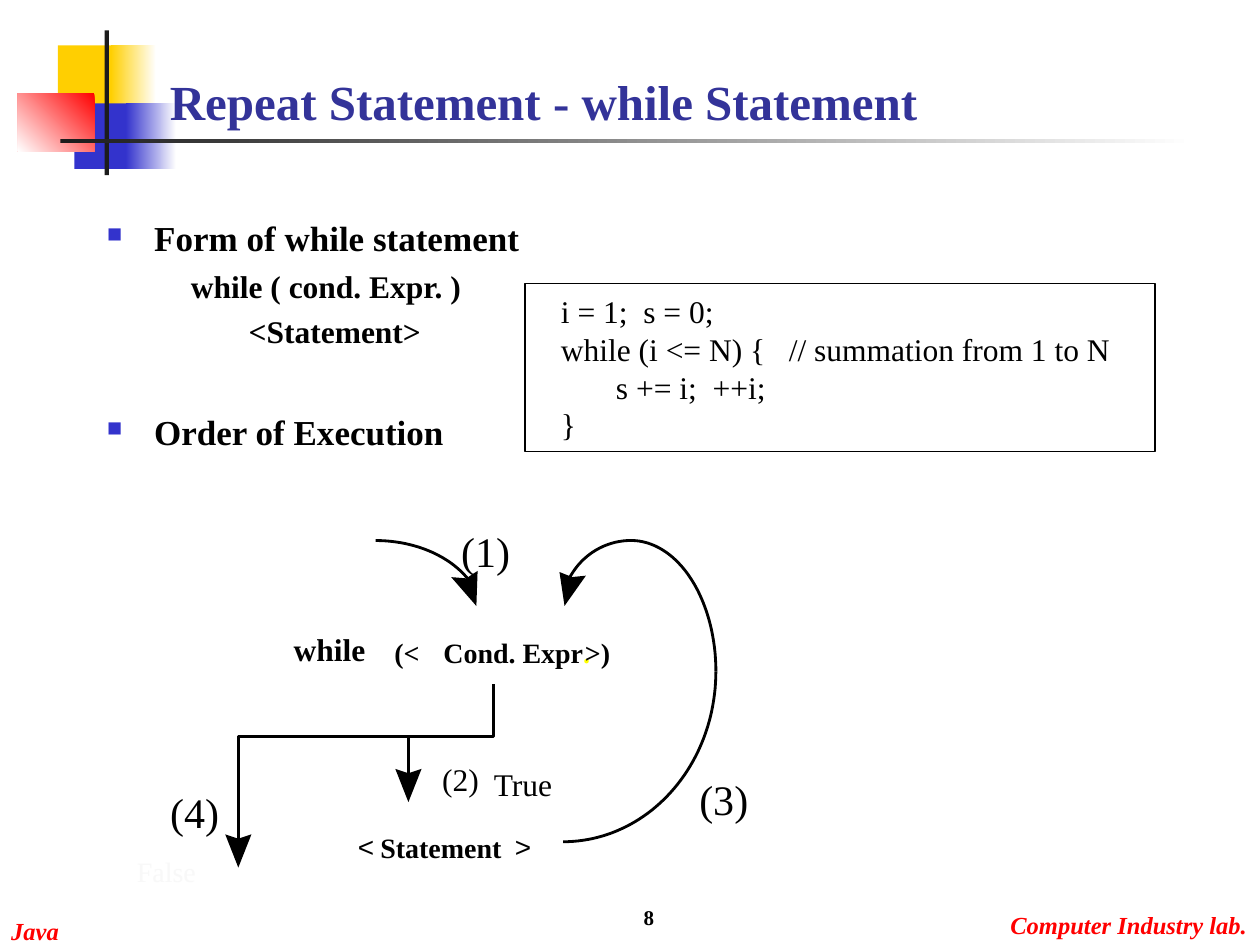
import math
from dataclasses import dataclass

import lxml.etree
import pptx
import pptx.dml.color
import pptx.enum.shapes
import pptx.enum.text
import pptx.oxml.ns
import pptx.util

Pt = pptx.util.Pt
Align = pptx.enum.text.PP_ALIGN
Anchor = pptx.enum.text.MSO_ANCHOR


@dataclass(frozen=True)
class Theme:
    serif: str = "Times New Roman"
    sans: str = "Arial"
    black: str = "000000"
    white: str = "FFFFFF"
    charcoal: str = "1C1C1C"
    gold: str = "FFCF01"
    blue: str = "3333CC"
    red: str = "FF0000"
    yellow: str = "FFFF00"
    faint: str = "F8F8F8"
    title_color: str = "333399"
    title: float = 28
    step: float = 24
    heading: float = 20
    body: float = 18
    label: float = 16
    footer: float = 14
    page: float = 12
    stroke: float = 1.62
    thin: float = 0.75


def rgb(color):
    return pptx.dml.color.RGBColor.from_string(color)


class SlideBuilder:
    def __init__(self, slide, theme):
        self.slide = slide
        self.theme = theme

    def style_runs(self, runs, size, color, bold=False, italic=False, font=None):
        for run in runs:
            run.font.name = font or self.theme.serif
            run.font.size = Pt(size)
            run.font.bold = bold
            run.font.italic = italic
            run.font.color.rgb = rgb(color)

    def prepare_frame(self, shape, inset, anchor, wrap):
        frame = shape.text_frame
        frame.word_wrap = wrap
        frame.vertical_anchor = anchor
        horizontal, vertical = inset
        frame.margin_left = frame.margin_right = Pt(horizontal)
        frame.margin_top = frame.margin_bottom = Pt(vertical)
        return frame

    def text(self, text, box, size, color, inset=(7.2, 3.6), anchor=Anchor.TOP,
             align=Align.LEFT, wrap=False, **style):
        shape = self.slide.shapes.add_textbox(*map(Pt, box))
        frame = self.prepare_frame(shape, inset, anchor, wrap)
        frame.text = text
        paragraph = frame.paragraphs[0]
        paragraph.alignment = align
        self.style_runs(paragraph.runs, size, color, **style)
        return paragraph

    def label(self, text, left, top, width, size, color=None, **style):
        box = (left, top, width, size * 1.2)
        return self.text(text, box, size, color or self.theme.black, inset=(0, 0), **style)

    def rectangle(self, box, color, fade_angle=None):
        kind = pptx.enum.shapes.MSO_SHAPE.RECTANGLE
        shape = self.slide.shapes.add_shape(kind, *map(Pt, box))
        shape.shadow.inherit = False
        shape.line.fill.background()
        if fade_angle is None:
            shape.fill.solid()
            shape.fill.fore_color.rgb = rgb(color)
        else:
            shape.fill.gradient()
            shape.fill.gradient_angle = fade_angle
            for stop, stop_color in zip(shape.fill.gradient_stops, (color, self.theme.white)):
                stop.color.rgb = rgb(stop_color)
        return shape

    def code_box(self, lines, box):
        shape = self.rectangle(box, self.theme.white)
        shape.line.color.rgb = rgb(self.theme.black)
        shape.line.width = Pt(self.theme.thin)
        frame = self.prepare_frame(shape, (7.2, 3.6), Anchor.MIDDLE, True)
        frame.text = "\n".join(lines)
        for paragraph in frame.paragraphs:
            paragraph.alignment = Align.LEFT
            self.style_runs(paragraph.runs, self.theme.body, self.theme.black)

    def outline(self, items, box):
        shape = self.slide.shapes.add_textbox(*map(Pt, box))
        frame = self.prepare_frame(shape, (7.2, 3.6), Anchor.TOP, True)
        frame.text = "\n".join(item[0] for item in items)
        for paragraph, (_, size, margin, bulleted, space) in zip(frame.paragraphs, items):
            properties = paragraph._p.get_or_add_pPr()
            properties.set("marL", str(Pt(margin)))
            if bulleted:
                self.bullet(properties, margin)
            if space:
                paragraph.space_before = Pt(space)
            self.style_runs(paragraph.runs, size, self.theme.black, bold=True)

    def bullet(self, properties, hang):
        properties.set("indent", str(-Pt(hang)))
        name = pptx.oxml.ns.qn
        color = lxml.etree.SubElement(properties, name("a:buClr"))
        lxml.etree.SubElement(color, name("a:srgbClr")).set("val", self.theme.blue)
        lxml.etree.SubElement(properties, name("a:buSzPct")).set("val", "60000")
        lxml.etree.SubElement(properties, name("a:buChar")).set("char", "■")

    def freeform(self, points, filled=False):
        start, *rest = [(Pt(x), Pt(y)) for x, y in points]
        builder = self.slide.shapes.build_freeform(*start)
        builder.add_line_segments(rest, close=filled)
        shape = builder.convert_to_shape()
        shape.shadow.inherit = False
        if filled:
            shape.fill.solid()
            shape.fill.fore_color.rgb = rgb(self.theme.black)
            shape.line.fill.background()
        else:
            shape.fill.background()
            shape.line.color.rgb = rgb(self.theme.black)
            shape.line.width = Pt(self.theme.stroke)

    def arc(self, center, radii, start, end, steps=48):
        angles = [math.radians(start + (end - start) * i / steps) for i in range(steps + 1)]
        self.freeform([(center[0] + radii[0] * math.cos(angle),
                        center[1] + radii[1] * math.sin(angle)) for angle in angles])

    def down_arrowhead(self, x, top):
        self.freeform([(x - 7.5, top), (x, top + 2.5), (x + 7.5, top), (x, top + 19)], filled=True)

    def line(self, start, end):
        kind = pptx.enum.shapes.MSO_CONNECTOR.STRAIGHT
        connector = self.slide.shapes.add_connector(kind, *map(Pt, start + end))
        connector.line.color.rgb = rgb(self.theme.black)
        connector.line.width = Pt(self.theme.stroke)
        properties = connector._element.spPr
        lxml.etree.SubElement(properties, pptx.oxml.ns.qn("a:effectLst"))


def draw_decoration(builder, theme):
    builder.rectangle((33.12, 25.92, 34.56, 37.44), theme.gold)
    builder.rectangle((63.36, 25.92, 25.92, 37.44), theme.gold, 0)
    builder.rectangle((42.48, 59.04, 33.12, 37.44), theme.blue)
    builder.rectangle((72, 59.04, 28.8, 37.44), theme.blue, 0)
    builder.rectangle((10.08, 53.28, 43.92, 33.12), theme.red, 225)
    builder.rectangle((59.8, 17.28, 2.4, 82.8), theme.charcoal)
    builder.rectangle((34.56, 79.6, 648, 2.4), theme.charcoal, 0)
    footer = dict(size=theme.footer, color=theme.red, bold=True, italic=True)
    builder.text("Java", (-0.72, 519.84, 41.76, 24.48), **footer)
    builder.text("Computer Industry lab.", (570.24, 516.24, 149.76, 24.48), **footer)
    builder.text("8", (231.12, 498.96, 149.76, 36), theme.page, theme.black,
                 anchor=Anchor.BOTTOM, align=Align.RIGHT, wrap=True, bold=True)


def draw_flow(builder, theme):
    builder.freeform([(282, 391), (282, 421), (136.2, 421), (136.2, 481)])
    builder.down_arrowhead(136.2, 476.8)
    builder.line((233.4, 420.6), (233.4, 444.2))
    builder.down_arrowhead(233.4, 439.4)

    builder.arc((214.6, 353.2), (61.2, 44.3), -90, -28)
    builder.freeform([(257.8, 329.8), (266.4, 330.5), (272.9, 326.2), (272.2, 346.3)], filled=True)
    builder.arc((360.6, 349.9), (40, 41), -90, -154)
    builder.freeform([(319.7, 326.9), (326.9, 329.8), (334.8, 329), (322.6, 346.3)], filled=True)
    builder.arc((360.6, 383.8), (48.5, 74.9), -90, 0)
    builder.arc((321.8, 383.8), (87.3, 97.2), 0, 90)

    for text, left, top in (("(1)", 263.5, 300.2), ("(3)", 399.6, 442.1), ("(4)", 97.2, 449.3)):
        builder.label(text, left, top, 34, theme.step)
    builder.label("(2)", 252.7, 434.2, 27, theme.body)
    builder.label("True", 282.2, 437, 42, theme.body)
    builder.label("False", 78.3, 488, 42, theme.label, theme.faint)
    builder.label("while", 167.8, 360, 54, theme.body, bold=True)
    builder.label("(<", 225.4, 362.9, 22, theme.label, bold=True)
    condition = builder.label("Cond. Expr", 253.4, 362.9, 110, theme.label, bold=True)
    dot = condition.add_run()
    dot.text = "."
    builder.style_runs([dot], theme.label, theme.yellow, bold=True)
    builder.label(">)", 334.3, 362.9, 22, theme.label, bold=True)
    builder.label("<", 204.5, 473.8, 16, theme.label, font=theme.sans)
    builder.label("Statement", 217.4, 474.5, 90, theme.label, bold=True)
    builder.label(">", 294.2, 473.8, 16, theme.label, font=theme.sans)


def main():
    theme = Theme()
    presentation = pptx.Presentation()
    presentation.slide_width, presentation.slide_height = Pt(720), Pt(540)
    slide = presentation.slides.add_slide(presentation.slide_layouts[6])
    builder = SlideBuilder(slide, theme)

    draw_decoration(builder, theme)
    builder.text("Repeat Statement - while Statement", (90, 23.76, 614.16, 54), theme.title,
                 theme.title_color, anchor=Anchor.BOTTOM, wrap=True, bold=True)
    builder.outline([
        ("Form of while statement", theme.heading, 27, True, 0),
        ("while ( cond. Expr. )", theme.body, 48, False, 4.5),
        ("<Statement>", theme.body, 81, False, 4.5),
        ("Order of Execution", theme.heading, 27, True, 34.5),
    ], (54, 120.4, 624, 347))
    builder.code_box([
        "   i = 1;  s = 0;",
        "   while (i <= N) {   // summation from 1 to N",
        "          s += i;  ++i;",
        "   }",
    ], (300, 162, 360, 96))
    draw_flow(builder, theme)
    presentation.save("out.pptx")


if __name__ == "__main__":
    main()
